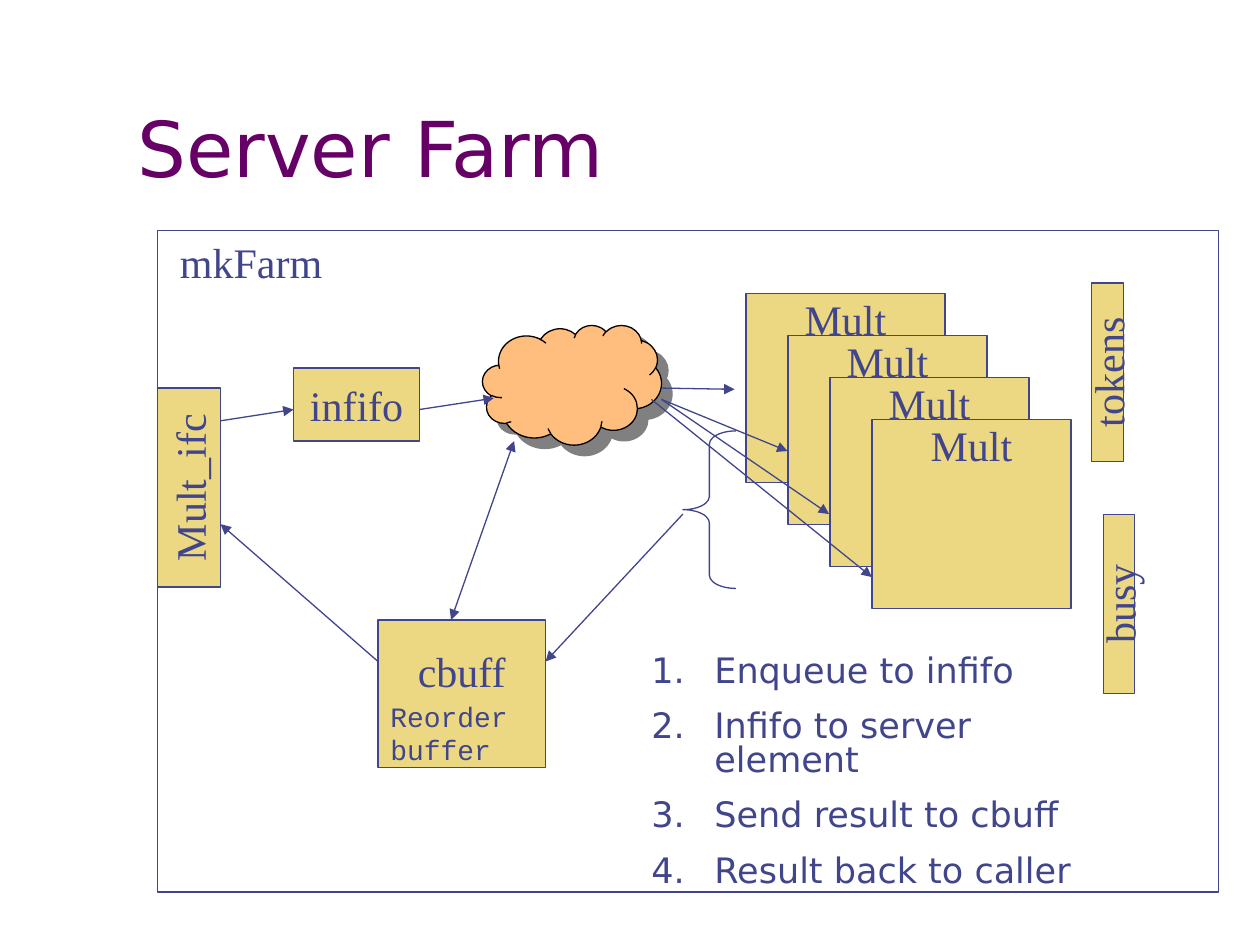
from lxml import etree
from pptx import Presentation
from pptx import util as u
from pptx.dml.color import RGBColor
from pptx.enum import shapes, text
from pptx.oxml import parse_xml
from pptx.oxml.ns import nsdecls, qn

INK, SAND, PEACH, PLUM = "40458C", "ECD882", "FFBE7D", "660066"
SERIF, SANS, MONO = "Times New Roman", "DejaVu Sans", "Courier New"
color = RGBColor.from_string


def write(shape, words, size, font, ink=INK, align=text.PP_ALIGN.LEFT):
    frame = shape.text_frame
    frame.auto_size = text.MSO_AUTO_SIZE.NONE
    frame.text = words
    for para in frame.paragraphs:
        para.alignment = align
        for span in para.runs:
            span.font.size = u.Pt(size)
            span.font.name = font
            span.font.color.rgb = color(ink)


def draw(kind, left, top, width, height, fill=None, line=INK):
    shape = page.shapes.add_shape(
        kind, u.Inches(left), u.Inches(top), u.Inches(width), u.Inches(height))
    shape.shadow.inherit = False
    if fill:
        shape.fill.solid()
        shape.fill.fore_color.rgb = color(fill)
    else:
        shape.fill.background()
    shape.line.color.rgb = color(line)
    shape.line.width = u.Pt(0.75)
    return shape


deck = Presentation()
deck.slide_width, deck.slide_height = u.Inches(10), u.Inches(7.5)
page = deck.slides.add_slide(deck.slide_layouts[1])
RECT = shapes.MSO_SHAPE.RECTANGLE

title, steps = page.placeholders
title.left, title.top, title.width, title.height = map(u.Inches, (0.99, 0.33, 8.25, 1.25))
write(title, "Server Farm", 44, SANS, PLUM)
title.text_frame.vertical_anchor = text.MSO_ANCHOR.BOTTOM

boxes = [(5.92 + i / 3, 2.33 + i / 3, 1.58, 1.5, "Mult", 0, 0) for i in range(4)]
boxes += [
    (0.71, 3.62, 1.58, 0.5, "Mult_ifc", 270, None),
    (2.33, 2.92, 1, 0.58, "infifo", 0, None),
    (3, 4.92, 1.33, 1.17, "cbuff", 0, 0.2),
    (8.08, 2.83, 1.42, 0.25, "tokens", 270, None),
    (8.17, 4.67, 1.42, 0.25, "busy", 270, None),
]
for left, top, width, height, label, turn, inset in boxes:
    box = draw(RECT, left, top, width, height, SAND)
    box.rotation = turn
    write(box, label, 24, SERIF, align=text.PP_ALIGN.CENTER)
    box.text_frame.word_wrap = False
    box.text_frame.vertical_anchor = text.MSO_ANCHOR.MIDDLE
    if inset is not None:
        box.text_frame.vertical_anchor = text.MSO_ANCHOR.TOP
        box.text_frame.margin_top = u.Inches(inset)

draw(RECT, 1.25, 1.83, 8.42, 5.25)

cloud = draw(shapes.MSO_SHAPE.CLOUD, 3.83, 2.58, 1.42, 0.95, PEACH, "000000")
cloud.element.spPr.find(qn("a:effectLst")).append(parse_xml(
    f'<a:outerShdw {nsdecls("a")} blurRad="0" dist="{u.Pt(8.5)}" dir="2700000" '
    'algn="ctr" rotWithShape="0"><a:srgbClr val="808080"/></a:outerShdw>'))

brace = draw(shapes.MSO_SHAPE.LEFT_BRACE, 5.42, 3.42, 0.42, 1.25)
brace.adjustments[0], brace.adjustments[1] = 0.25, 0.5

arrows = [
    (1.75, 3.34, 2.33, 3.25, False),
    (3.33, 3.25, 3.92, 3.16, False),
    (5.25, 3.08, 5.83, 3.09, False),
    (5.25, 3.17, 6.25, 3.58, False),
    (5.25, 3.17, 6.58, 4.08, False),
    (5.17, 3.17, 6.92, 4.58, False),
    (3, 5.25, 1.75, 4.16, False),
    (4.08, 3.5, 3.58, 4.92, True),
    (5.42, 4.08, 4.33, 5.25, False),
]
for *ends, both_ways in arrows:
    arrow = page.shapes.add_connector(shapes.MSO_CONNECTOR.STRAIGHT, *map(u.Inches, ends))
    arrow.line.color.rgb = color(INK)
    arrow.line.width = u.Pt(0.75)
    properties = arrow.element.spPr
    for tip in ("a:headEnd", "a:tailEnd") if both_ways else ("a:tailEnd",):
        etree.SubElement(properties.find(qn("a:ln")), qn(tip), type="triangle")
    etree.SubElement(properties, qn("a:effectLst"))

labels = [
    (1.33, 1.83, 1.33, 0.5, "mkFarm", 24, SERIF),
    (3, 5.5, 1.26, 0.64, "Reorder\nbuffer", 16, MONO),
]
for *place, words, size, font in labels:
    label = page.shapes.add_textbox(*map(u.Inches, place))
    write(label, words, size, font)
    label.text_frame.word_wrap = False

steps.left, steps.top, steps.width, steps.height = map(u.Inches, (5.07, 5.16, 3.6, 1.96))
write(steps, "Enqueue to infifo\nInfifo to server element\n"
      "Send result to cbuff\nResult back to caller", 20, SANS)
steps.text_frame.word_wrap = True
for para in steps.text_frame.paragraphs:
    para.line_spacing = 0.8
    para.space_before = u.Pt(12.5)
    layout = para._p.get_or_add_pPr()
    layout.set("marL", str(u.Inches(0.5)))
    layout.set("indent", str(u.Inches(-0.5)))
    etree.SubElement(layout, qn("a:buFont"), typeface=SANS)
    etree.SubElement(layout, qn("a:buAutoNum"), type="arabicPeriod")

page.shapes._spTree.append(steps.element)
deck.save("out.pptx")
